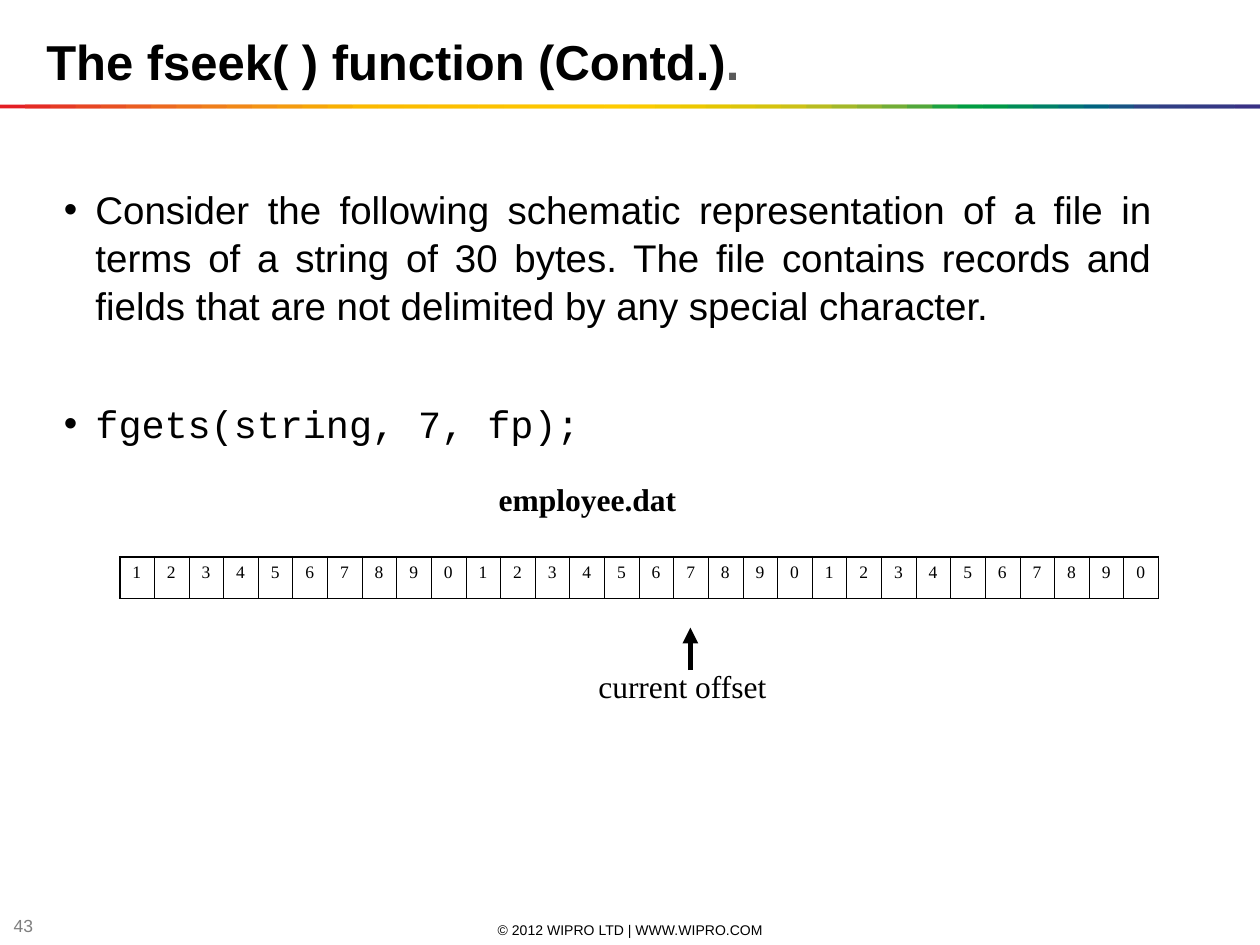
from lxml import etree
from pptx import Presentation
from pptx import util as u
from pptx.dml.color import RGBColor
from pptx.enum import shapes, text
from pptx.oxml import ns

Pt = u.Pt
hues = {"ink": "000000", "grey": "7F7F7F", "dot": "595959"}
band = """
E31E24 E42C24 E53A24 E74623 E85122 EA5D21 EC691F EE741D EF7E1A F18817
F39314 F49C0F F6A607 F8B002 FBBA00 FBBB00 FBBD00 FCBF00 FCC000 FCC200
FDC400 FDC600 FDC700 FEC900 FECB00 FBCB00 F3CA00 ECC800 E4C602 DCC50A
D5C30E CCC117 B8BC21 A3B829 8CB230 71AD36 51A73B 1DA240 009D43 009846
008C57 008068 007275 00637F 185384 2E4285 313E85 333B85 353885 393185
""".split()

deck = Presentation()
deck.slide_width, deck.slide_height = Pt(720), Pt(540)
page = deck.slides.add_slide(deck.slide_layouts[6])


def add(parent, tag, **attrs):
    node = etree.SubElement(parent, ns.qn(tag))
    for key, val in attrs.items():
        node.set(key, str(val))
    return node


def write(words, box=None, para=None, size=18, face="Arial", hue="ink",
          bold=False, align="LEFT", anchor="TOP", top=3.6, bullet=False,
          lead=None, before=None):
    if box:
        frame = page.shapes.add_textbox(*map(Pt, box)).text_frame
        frame.word_wrap = True
        frame.vertical_anchor = getattr(text.MSO_ANCHOR, anchor)
        frame.margin_top = Pt(top)
        para = frame.paragraphs[0]
    if bullet:
        props = para._p.get_or_add_pPr()
        props.set("marL", str(Pt(18)))
        props.set("indent", str(Pt(-18)))
        add(props, "a:buFont", typeface="Arial")
        add(props, "a:buChar", char="•")
    para.alignment = getattr(text.PP_ALIGN, align)
    if lead:
        para.line_spacing = lead
    if before:
        para.space_before = Pt(before)
    run = para.add_run()
    run.text = words
    run.font.size = Pt(size)
    run.font.name = face
    run.font.bold = bold
    run.font.color.rgb = RGBColor.from_string(hues[hue])
    return para


write("© 2012 WIPRO LTD | WWW.WIPRO.COM", box=(246.2, 525.6, 228.2, 11.5),
      size=8, align="CENTER", anchor="MIDDLE")
write("43", box=(0.7, 523.4, 28.1, 11.5), size=10, hue="grey", anchor="MIDDLE")

for i, hue in enumerate(band):
    left = i * 14.4
    bar = page.shapes.add_shape(shapes.MSO_SHAPE.RECTANGLE, Pt(left), Pt(59.8),
                                Pt(min(28.8, 720 - left)), Pt(2.2))
    bar.shadow.inherit = False
    bar.fill.solid()
    bar.fill.fore_color.rgb = RGBColor.from_string(hue)
    bar.line.fill.background()

head = write("The fseek( ) function (Contd.)", box=(19.4, 11.5, 665.3, 41),
             size=28, bold=True, top=6.5)
write(".", para=head, size=28, bold=True, hue="dot")

body = page.shapes.add_textbox(Pt(29.5), Pt(100), Pt(635.8), Pt(216)).text_frame
body.word_wrap = True
body.margin_top = Pt(5.3)
style = dict(size=22, align="JUSTIFY", bullet=True, lead=1.04)
write("Consider the following schematic representation of a file in terms of "
      "a string of 30 bytes. The file contains records and fields that are "
      "not delimited by any special character.",
      para=body.paragraphs[0], **style)
write("fgets(string, 7, fp);", para=body.add_paragraph(), face="Courier New",
      before=40, **style)

arrow = page.shapes.add_connector(shapes.MSO_CONNECTOR.STRAIGHT, Pt(394.5),
                                  Pt(383), Pt(394.5), Pt(358.6))
arrow.line.width = Pt(3)
arrow.line.color.rgb = RGBColor.from_string(hues["ink"])
add(arrow.line._get_or_add_ln(), "a:tailEnd", type="triangle")
add(arrow._element.spPr, "a:effectLst")

serif = "Times New Roman"
write("current offset", box=(334.8, 377.6, 126, 28.8), face=serif)
write("employee.dat", box=(277.9, 271, 126, 28.8), face=serif, bold=True)

count = 30
grid = page.shapes.add_table(1, count, Pt(68.4), Pt(318.2), Pt(594),
                             Pt(23.8)).table
grid.first_row = grid.horz_banding = False
for i in range(count):
    grid.columns[i].width = Pt(19.8)
    cell = grid.cell(0, i)
    cell.margin_left = cell.margin_right = Pt(7.2)
    cell.margin_top = cell.margin_bottom = Pt(3.6)
    write(str((i + 1) % 10), para=cell.text_frame.paragraphs[0], size=10,
          face=serif)
    props = cell._tc.get_or_add_tcPr()
    sides = {"L": 1.08 if i == 0 else 0.45,
             "R": 1.08 if i == count - 1 else 0.45, "T": 1.08, "B": 1.08}
    for side, wide in sides.items():
        edge = add(props, "a:ln" + side, w=Pt(wide))
        add(add(edge, "a:solidFill"), "a:srgbClr", val=hues["ink"])
    cell.fill.background()

deck.save("out.pptx")
